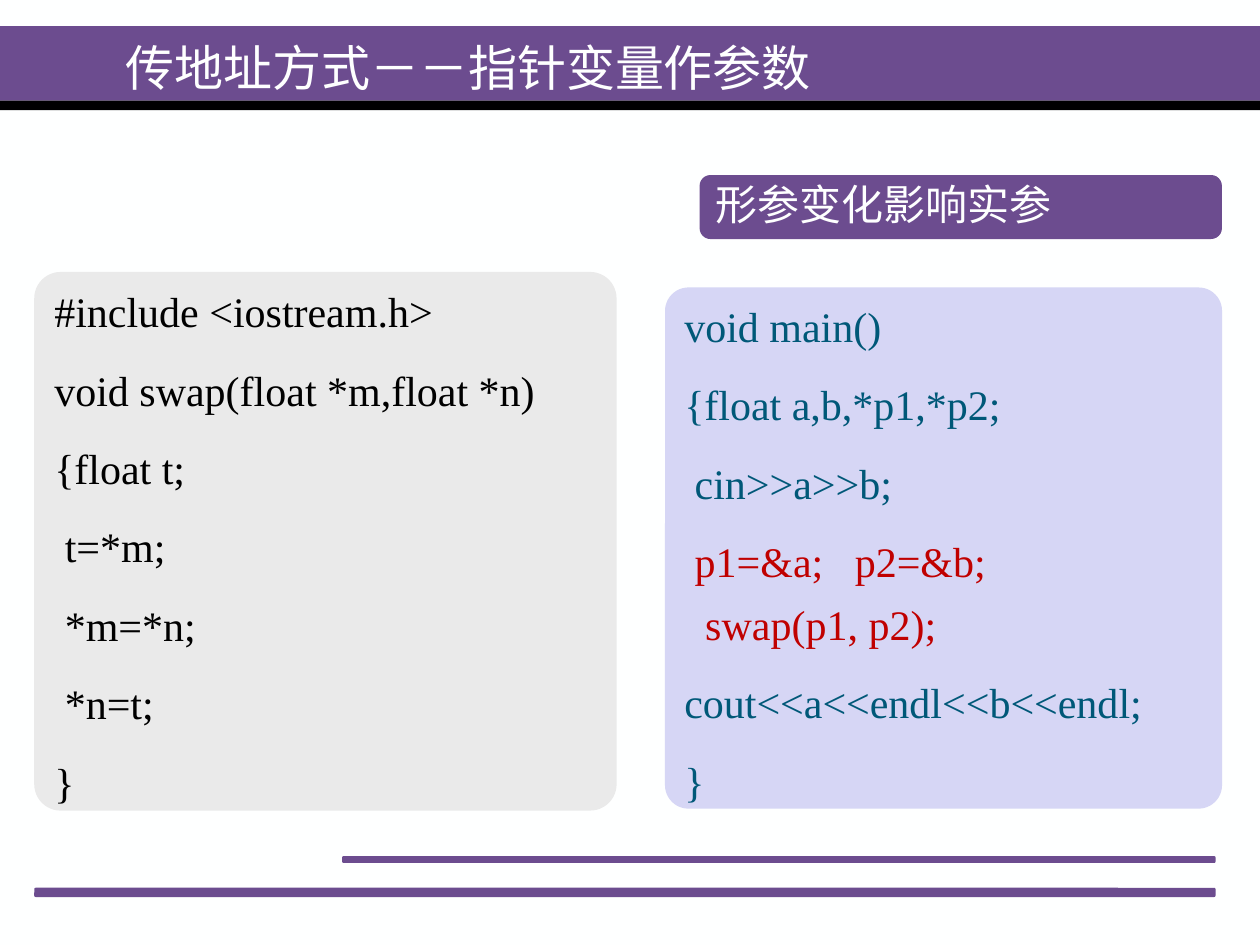
from dataclasses import dataclass

from pptx import Presentation
from pptx.dml.color import RGBColor
from pptx.enum.shapes import MSO_SHAPE
from pptx.enum.text import MSO_ANCHOR, PP_ALIGN
from pptx.util import Pt

COLORS = {
    "white": "FEFFFF",
    "purple": "6C4C8F",
    "black": "000000",
    "lilac": "D6D6F5",
    "gray": "EAEAEA",
    "teal": "005878",
    "red": "C00000",
}
FONT = "Times New Roman"


@dataclass
class Box:
    left: float
    top: float
    width: float
    height: float
    fill: str
    round: float = 0


@dataclass
class Line:
    text: str
    color: str
    size: float = 24
    before: float = 16
    spacing: float | None = None


def rgb(name: str) -> RGBColor:
    return RGBColor.from_string(COLORS[name])


def draw_box(slide, box: Box):
    kind = MSO_SHAPE.ROUNDED_RECTANGLE if box.round else MSO_SHAPE.RECTANGLE
    shape = slide.shapes.add_shape(
        kind, Pt(box.left), Pt(box.top), Pt(box.width), Pt(box.height))
    if box.round:
        shape.adjustments[0] = box.round
    shape.shadow.inherit = False
    shape.fill.solid()
    shape.fill.fore_color.rgb = rgb(box.fill)
    shape.line.fill.background()
    return shape


def write(shape, lines: list[Line], anchor=MSO_ANCHOR.TOP) -> None:
    frame = shape.text_frame
    frame.word_wrap = True
    frame.vertical_anchor = anchor
    for i, line in enumerate(lines):
        para = frame.add_paragraph() if i else frame.paragraphs[0]
        para.text = line.text
        para.alignment = PP_ALIGN.LEFT
        para.space_before = Pt(line.before if i else 0)
        if line.spacing:
            para.line_spacing = line.spacing
        para.font.name = FONT
        para.font.size = Pt(line.size)
        para.font.color.rgb = rgb(line.color)


BARS = [
    Box(0, 15, 720, 42.5, "purple"),
    Box(0, 57.5, 720, 5.5, "black"),
    Box(195.6, 489.3, 499, 3.8, "purple", 0.17),
    Box(19.6, 507.3, 675, 5.3, "purple", 0.17),
]
MAIN = [
    Line("void main()", "teal"),
    Line("{float a,b,*p1,*p2;", "teal"),
    Line(" cin>>a>>b;", "teal"),
    Line(" p1=&a;   p2=&b;", "red"),
    Line("  swap(p1, p2);", "red", before=7),
    Line("cout<<a<<endl<<b<<endl;", "teal"),
    Line("}", "teal"),
]
SWAP = [Line(text, "black") for text in (
    "#include <iostream.h>",
    "void swap(float *m,float *n)",
    "{float t;",
    " t=*m;",
    " *m=*n;",
    " *n=t;",
    "}",
)]
NOTE = [Line("形参变化影响实参", "white", spacing=0.9)]
PANELS = [
    (Box(380, 164.3, 318.3, 297.8, "lilac", 0.045), MAIN),
    (Box(19.6, 155.4, 332.8, 307.8, "gray", 0.049), SWAP),
    (Box(399.8, 100, 298.5, 36.6, "purple", 0.17), NOTE),
]


def main() -> None:
    deck = Presentation()
    deck.slide_width, deck.slide_height = Pt(720), Pt(540)
    slide = deck.slides.add_slide(deck.slide_layouts[6])
    slide.background.fill.solid()
    slide.background.fill.fore_color.rgb = rgb("white")
    for bar in BARS:
        draw_box(slide, bar)
    title = slide.shapes.add_textbox(Pt(64.8), Pt(4.5), Pt(546), Pt(67))
    write(title, [Line("传地址方式－－指针变量作参数", "white", 28)],
          MSO_ANCHOR.MIDDLE)
    for box, lines in PANELS:
        write(draw_box(slide, box), lines)
    deck.save("out.pptx")


if __name__ == "__main__":
    main()
